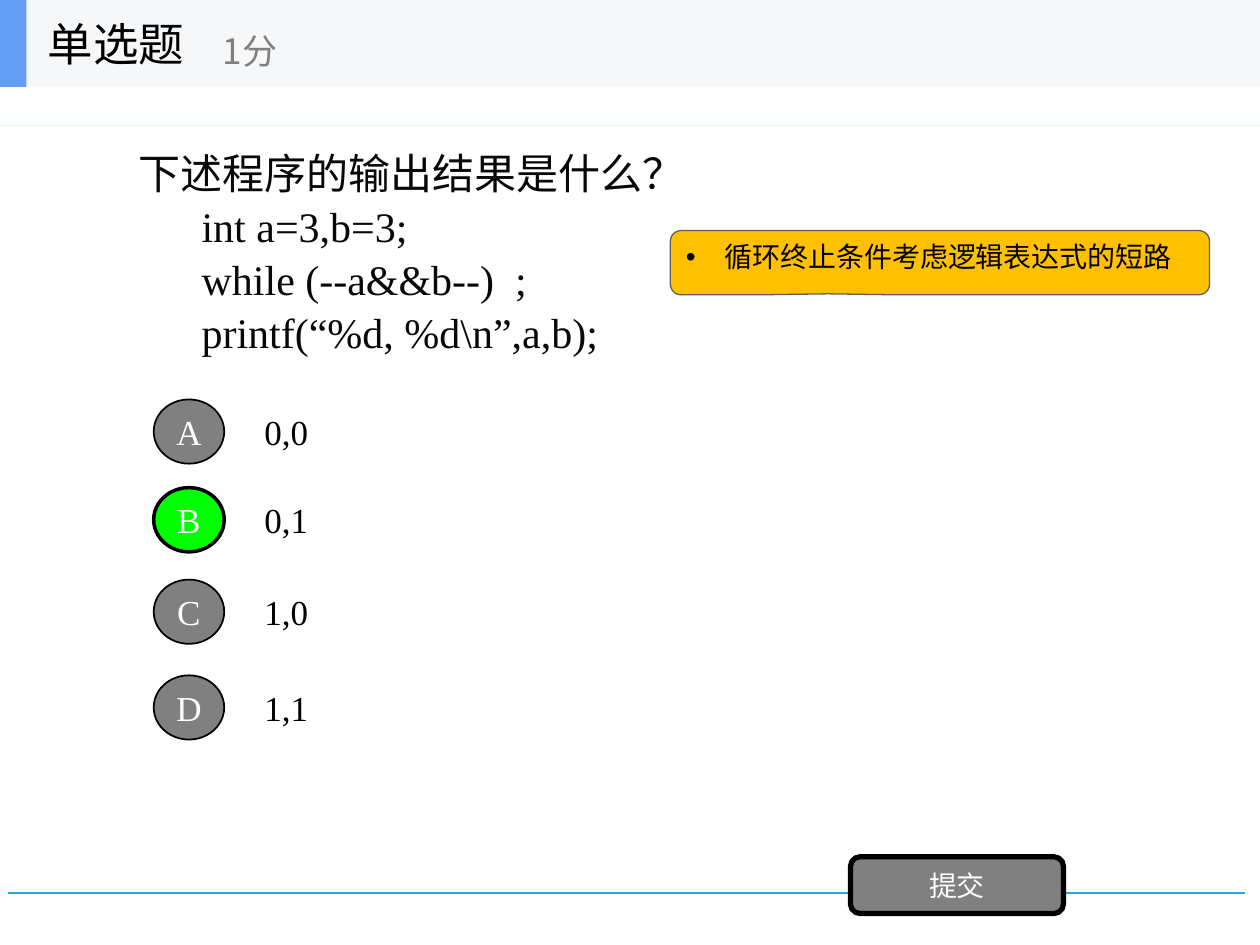
from dataclasses import dataclass

from lxml.etree import SubElement
from pptx import Presentation
from pptx.dml.color import RGBColor
from pptx.enum.shapes import MSO_CONNECTOR, MSO_SHAPE
from pptx.enum.text import MSO_ANCHOR, MSO_AUTO_SIZE, PP_ALIGN
from pptx.oxml.ns import qn
from pptx.util import Inches, Pt


@dataclass(frozen=True)
class Theme:
    accent: str = "28A9D6"
    ink: str = "080808"
    black: str = "000000"
    white: str = "FFFFFF"
    grey: str = "808080"
    correct: str = "00FF00"
    hint: str = "FFC000"
    hint_line: str = "5F5F5F"
    header: str = "F6F7F8"
    header_mark: str = "639EF4"
    serif: str = "Times New Roman"
    sans: str = "Arial"
    chinese: str = "Noto Sans CJK SC"
    title_size: int = 26
    question_size: int = 24
    option_size: int = 20
    small_size: int = 16


class QuizSlide:
    def __init__(self, presentation, theme):
        self.theme = theme
        self.slide = presentation.slides.add_slide(presentation.slide_layouts[1])
        self.shapes = self.slide.shapes

    def run(self, paragraph, text, size, color, font):
        run = paragraph.add_run()
        run.text = text
        run.font.size = Pt(size)
        run.font.color.rgb = RGBColor.from_string(color)
        run.font.name = font
        properties = run.font._element
        SubElement(properties, qn("a:ea")).set("typeface", self.theme.chinese)

    def indent(self, paragraph, left, first, bullet=None):
        properties = paragraph._p.get_or_add_pPr()
        properties.set("marL", str(Inches(left)))
        properties.set("indent", str(Inches(first)))
        if bullet:
            SubElement(properties, qn("a:buFont")).set("typeface", self.theme.sans)
            SubElement(properties, qn("a:buChar")).set("char", bullet)
        else:
            SubElement(properties, qn("a:buNone"))

    def place(self, shape, left, top, width, height):
        shape.left, shape.top = Inches(left), Inches(top)
        shape.width, shape.height = Inches(width), Inches(height)

    def frame(self, shape, anchor=MSO_ANCHOR.MIDDLE):
        frame = shape.text_frame
        frame.word_wrap = True
        frame.auto_size = MSO_AUTO_SIZE.NONE
        frame.vertical_anchor = anchor
        return frame

    def style(self, shape, fill, line=None, width=1):
        shape.shadow.inherit = False
        shape.fill.solid()
        shape.fill.fore_color.rgb = RGBColor.from_string(fill)
        if line:
            shape.line.color.rgb = RGBColor.from_string(line)
            shape.line.width = Pt(width)
        else:
            shape.line.fill.background()

    def box(self, kind, area, fill, line=None, width=1):
        shape = self.shapes.add_shape(kind, *map(Inches, area))
        self.style(shape, fill, line, width)
        return shape

    def button(self, kind, area, text, size, font, fill, width):
        shape = self.box(kind, area, fill, self.theme.black, width)
        frame = self.frame(shape)
        frame.margin_left = frame.margin_right = 0
        frame.margin_top = frame.margin_bottom = 0
        paragraph = frame.paragraphs[0]
        paragraph.alignment = PP_ALIGN.CENTER
        self.run(paragraph, text, size, self.theme.white, font)

    def label(self, area, text, color, font):
        shape = self.shapes.add_textbox(*map(Inches, area))
        paragraph = self.frame(shape).paragraphs[0]
        self.run(paragraph, text, self.theme.option_size, color, font)

    def rule(self, start, end):
        line = self.shapes.add_connector(
            MSO_CONNECTOR.STRAIGHT, *map(Inches, start + end))
        line.line.color.rgb = RGBColor.from_string(self.theme.accent)
        line.line.width = Pt(1.25)
        SubElement(line._element.spPr, qn("a:effectLst"))

    def ornament(self, points):
        builder = self.shapes.build_freeform(*points[0], scale=Inches(1))
        builder.add_line_segments(points[1:], close=True)
        self.style(builder.convert_to_shape(), self.theme.accent)

    def question(self, heading, code):
        body = self.slide.placeholders[1]
        self.place(body, 1, 0.82, 8, 2.34)
        frame = self.frame(body)
        for index, text in enumerate([heading] + code):
            paragraph = frame.paragraphs[0] if index == 0 else frame.add_paragraph()
            paragraph.level = min(index, 1)
            paragraph.line_spacing = 1.05
            paragraph.space_before = Pt(0)
            self.indent(paragraph, 0.5 * paragraph.level, 0)
            self.run(paragraph, text, self.theme.question_size,
                     self.theme.ink, self.theme.serif)
        self.shapes.element.append(body.element)

    def option(self, top, letter, answer, correct):
        theme = self.theme
        self.label((2, top - 0.06, 0.7, 0.63), answer, theme.black, theme.serif)
        self.button(MSO_SHAPE.OVAL, (1.22, top, 0.56, 0.51), letter,
                    theme.option_size, theme.serif,
                    theme.correct if correct else theme.grey, 2 if correct else 1)

    def hint(self, text):
        theme = self.theme
        shape = self.box(MSO_SHAPE.ROUNDED_RECTANGULAR_CALLOUT,
                         (5.32, 1.83, 4.28, 0.51), theme.hint, theme.hint_line, 0.75)
        for index, value in enumerate((-0.208, 0.485, 0.167)):
            shape.adjustments[index] = value
        paragraph = self.frame(shape, MSO_ANCHOR.TOP).paragraphs[0]
        paragraph.alignment = PP_ALIGN.LEFT
        self.indent(paragraph, 0.31, -0.31, "•")
        self.run(paragraph, text, theme.small_size, theme.black, theme.sans)

    def header(self, heading, score):
        theme = self.theme
        self.box(MSO_SHAPE.RECTANGLE, (0, 0, 10, 0.69), theme.header)
        self.box(MSO_SHAPE.RECTANGLE, (0, 0, 0.21, 0.69), theme.header_mark)
        title = self.shapes.title
        self.place(title, 0.28, 0, 2.08, 0.69)
        paragraph = self.frame(title).paragraphs[0]
        paragraph.alignment = PP_ALIGN.LEFT
        self.run(paragraph, heading, theme.title_size, theme.black, theme.chinese)
        self.shapes.element.append(title.element)
        self.label((1.67, 0.12, 2.5, 0.56), score, theme.grey, theme.chinese)


def main():
    presentation = Presentation()
    presentation.slide_width, presentation.slide_height = Inches(10), Inches(7.5)
    theme = Theme()
    quiz = QuizSlide(presentation, theme)
    quiz.rule((9.88, 7.09), (0.06, 7.09))
    quiz.ornament([
        (0.41, 0.46), (0.41, 0.92), (1.4, 0.92), (10.09, 0.94), (0.39, 0.94),
        (0.39, 0.48), (0.36, 0.48), (0.36, 0.94), (0.27, 0.94), (0.27, 0.46),
        (0.3, 0.46), (0.3, 0.91), (0.33, 0.91), (0.33, 0.46)])
    quiz.question("下述程序的输出结果是什么？", [
        "int a=3,b=3;", "while (--a&&b--)  ;", "printf(“%d, %d\\n”,a,b);"])
    options = [(3.17, "A", "0,0"), (3.87, "B", "0,1"),
               (4.6, "C", "1,0"), (5.36, "D", "1,1")]
    for top, letter, answer in options:
        quiz.option(top, letter, answer, letter == "B")
    quiz.button(MSO_SHAPE.ROUNDED_RECTANGLE, (6.75, 6.8, 1.69, 0.45), "提交",
                theme.small_size, theme.chinese, theme.grey, 3)
    quiz.hint("循环终止条件考虑逻辑表达式的短路")
    quiz.header("单选题", "1分")
    presentation.save("out.pptx")


if __name__ == "__main__":
    main()
